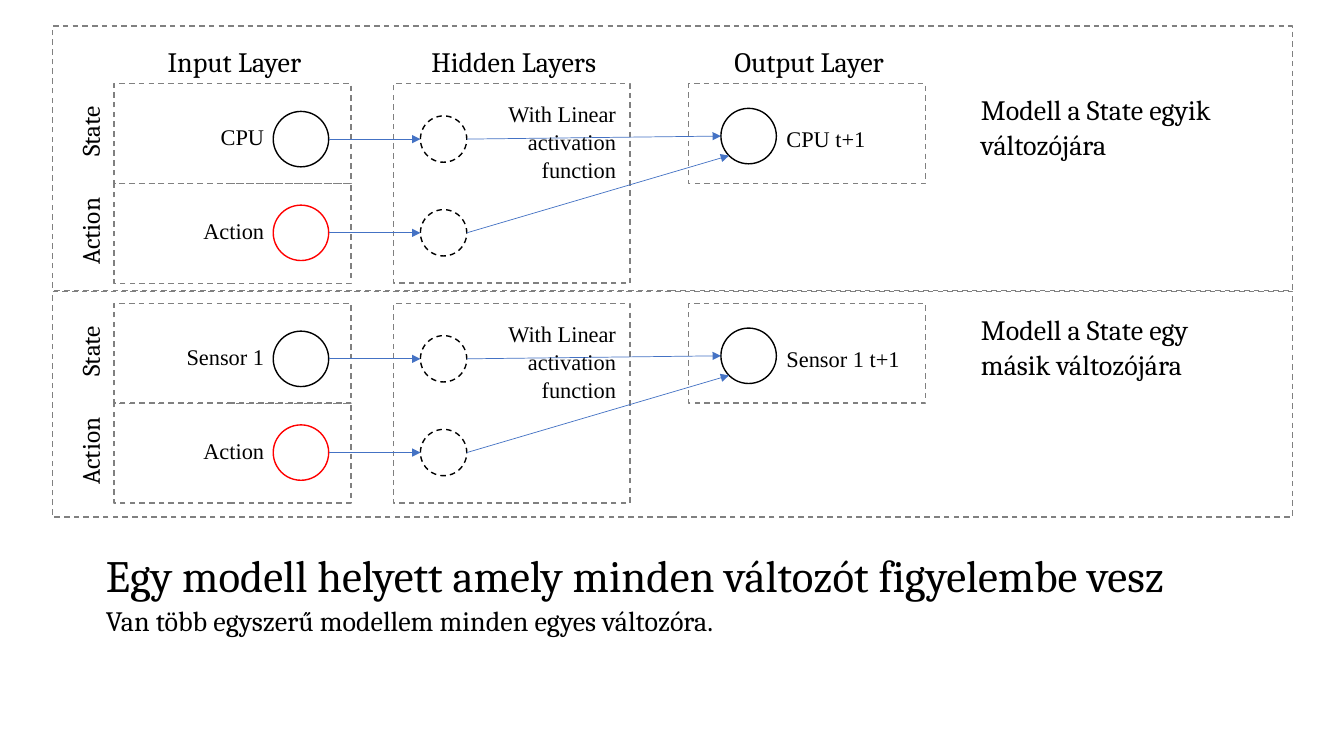
from dataclasses import dataclass
from math import sqrt

from lxml.etree import SubElement
from pptx import Presentation
from pptx.dml.color import RGBColor
from pptx.enum.dml import MSO_LINE_DASH_STYLE as Dash
from pptx.enum.shapes import MSO_CONNECTOR, MSO_SHAPE as Preset
from pptx.enum.text import MSO_ANCHOR as Anchor, MSO_AUTO_SIZE, PP_ALIGN as Align
from pptx.oxml.ns import qn
from pptx.util import Inches, Pt


@dataclass(frozen=True)
class Theme:
    ink = RGBColor(0x00, 0x00, 0x00)
    frame = RGBColor(0x80, 0x80, 0x80)
    action = RGBColor(0xFF, 0x00, 0x00)
    arrow = RGBColor(0x44, 0x72, 0xC4)
    serif = "Cambria"
    node_font = "Times New Roman"
    title = 32
    heading = 20
    side = 18
    node = 16
    outline = 1
    arrow_width = 0.5
    line_spacing = 1.05


@dataclass(frozen=True)
class Box:
    left: float
    top: float
    width: float
    height: float

    @classmethod
    def centred(cls, x, y, width, height):
        return cls(x - width / 2, y - height / 2, width, height)

    @property
    def middle(self):
        return self.left + self.width / 2, self.top + self.height / 2

    def inches(self):
        return [Inches(v) for v in (self.left, self.top, self.width, self.height)]


THEME = Theme()
SLIDE_W, SLIDE_H = 13.33, 7.5
LAYER_W, ROW_H = 2.35, 0.99
LAYERS = {"Input Layer": 0.61, "Hidden Layers": 3.38, "Output Layer": 6.31}
NODE, HIDDEN_NODE = 0.55, 0.46
FIRST_NODE, NODE_PITCH, OUTPUT_NODE = 0.55, 0.93, 0.52
LABEL_W, LABEL_H = 1.39, 0.33


def fill_text(frame, lines, sizes, font, align=Align.LEFT, anchor=Anchor.TOP):
    """Write the lines as one paragraph, a size for each line."""
    frame.word_wrap = True
    frame.auto_size = MSO_AUTO_SIZE.NONE
    frame.vertical_anchor = anchor
    frame.margin_left, frame.margin_top = Inches(0.12), Inches(0.08)
    frame.margin_right, frame.margin_bottom = Inches(0.08), Inches(0.04)
    paragraph = frame.paragraphs[0]
    paragraph.alignment = align
    paragraph.line_spacing = THEME.line_spacing
    for index, (line, size) in enumerate(zip(lines, sizes)):
        if index:
            paragraph.add_line_break()
        run = paragraph.add_run()
        run.text = line
        run.font.name = font
        run.font.size = Pt(size)
        run.font.color.rgb = THEME.ink


def add_text(slide, box, text, size, font=THEME.serif, align=Align.LEFT,
             anchor=Anchor.TOP, rotation=0):
    label = slide.shapes.add_textbox(*box.inches())
    label.rotation = rotation
    lines = text.split("\n")
    fill_text(label.text_frame, lines, [size] * len(lines), font, align, anchor)


def add_node_label(slide, box, text, align):
    add_text(slide, box, text, THEME.node, THEME.node_font, align, Anchor.MIDDLE)


def add_outline(slide, preset, box, color, dashed=False):
    outline = slide.shapes.add_shape(preset, *box.inches())
    outline.shadow.inherit = False
    outline.fill.background()
    outline.line.color.rgb = color
    outline.line.width = Pt(THEME.outline)
    if dashed:
        outline.line.dash_style = Dash.DASH


def add_frame(slide, box):
    add_outline(slide, Preset.RECTANGLE, box, THEME.frame, dashed=True)


def add_node(slide, x, y, size=NODE, color=THEME.ink, dashed=False):
    add_outline(slide, Preset.OVAL, Box.centred(x, y, size, size), color, dashed)


def add_arrow(slide, start, end):
    arrow = slide.shapes.add_connector(
        MSO_CONNECTOR.STRAIGHT, *(Inches(v) for v in (*start, *end)))
    arrow.line.color.rgb = THEME.arrow
    arrow.line.width = Pt(THEME.arrow_width)
    SubElement(arrow.line._get_or_add_ln(), qn("a:tailEnd"), type="triangle")
    SubElement(arrow._element.spPr, qn("a:effectLst"))


def add_headings(slide, box):
    for heading, offset in LAYERS.items():
        add_text(slide, Box(box.left + offset, box.top, LAYER_W, box.height), heading,
                 THEME.heading, align=Align.CENTER, anchor=Anchor.MIDDLE)


def add_model(slide, panel, inset, variable, note):
    """Draw one network in its panel; the layers start inset below its top."""
    add_frame(slide, panel)
    top = panel.top + inset
    input_left, hidden_left, output_left = (panel.left + x for x in LAYERS.values())
    input_x, hidden_x, output_x = input_left + 1.855, hidden_left + 0.5, output_left + 0.595
    output_y = top + OUTPUT_NODE
    diagonal = NODE / 2 / sqrt(2)
    targets = [(output_x - NODE / 2, output_y),
               (output_x - diagonal, output_y + diagonal)]

    add_frame(slide, Box(hidden_left, top, LAYER_W, 2 * ROW_H))
    add_frame(slide, Box(output_left, top, LAYER_W, ROW_H))
    add_node(slide, output_x, output_y)

    rows = [("State", variable, THEME.ink), ("Action", "Action", THEME.action)]
    for row, (side, name, color) in enumerate(rows):
        cell = Box(input_left, top + row * ROW_H, LAYER_W, ROW_H)
        y = top + FIRST_NODE + row * NODE_PITCH
        add_frame(slide, cell)
        add_text(slide, Box.centred(panel.left + 0.365, cell.middle[1], ROW_H, 0.48),
                 side, THEME.side, align=Align.CENTER, rotation=270)
        add_node(slide, input_x, y, color=color)
        add_node(slide, hidden_x, y, HIDDEN_NODE, dashed=True)
        label_right = input_x - NODE / 2 - 0.01
        add_node_label(slide, Box(label_right - LABEL_W, y - 0.05 - LABEL_H / 2,
                                  LABEL_W, LABEL_H), name, Align.RIGHT)
        add_arrow(slide, (input_x + NODE / 2, y), (hidden_x - HIDDEN_NODE / 2, y))
        add_arrow(slide, (hidden_x + HIDDEN_NODE / 2, y), targets[row])

    add_node_label(slide, Box(hidden_left + 0.9, top + FIRST_NODE - LABEL_H / 2,
                              LABEL_W, LABEL_H),
                   "With Linear activation function", Align.RIGHT)
    add_node_label(slide, Box(output_x + NODE / 2 - 0.02, output_y - LABEL_H / 2,
                              LABEL_W, LABEL_H), f"{variable} t+1", Align.LEFT)
    add_text(slide, Box(panel.left + 9.09, top - 0.01, 3.24, 1), note, THEME.heading)


def add_title(slide, box):
    title = slide.shapes.title
    title.left, title.top, title.width, title.height = box.inches()
    fill_text(title.text_frame,
              ["Egy modell helyett amely minden változót figyelembe vesz",
               "Van több egyszerű modellem minden egyes változóra."],
              [THEME.title, THEME.heading], THEME.serif)


def main():
    deck = Presentation()
    deck.slide_width, deck.slide_height = Inches(SLIDE_W), Inches(SLIDE_H)
    slide = deck.slides.add_slide(deck.slide_layouts[5])
    add_title(slide, Box(0.93, 5.33, 11.61, 1))
    add_headings(slide, Box(0.52, 0.27, 12.3, 0.62))
    add_model(slide, Box(0.52, 0.26, 12.3, 2.62), 0.57, "CPU",
              "Modell a State egyik változójára")
    add_model(slide, Box(0.52, 2.89, 12.3, 2.24), 0.12, "Sensor 1",
              "Modell a State egy\nmásik változójára")
    deck.save("out.pptx")


if __name__ == "__main__":
    main()
